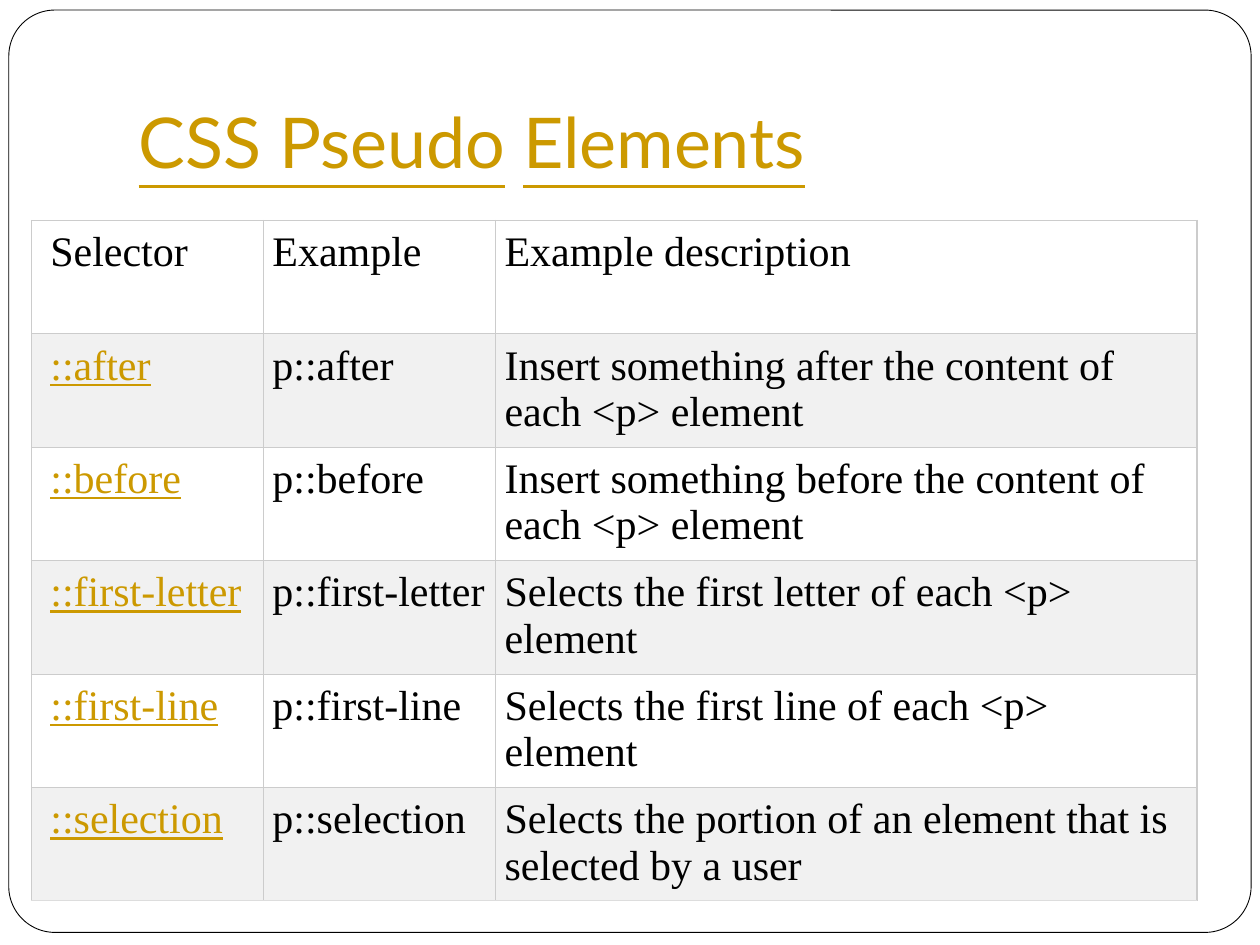
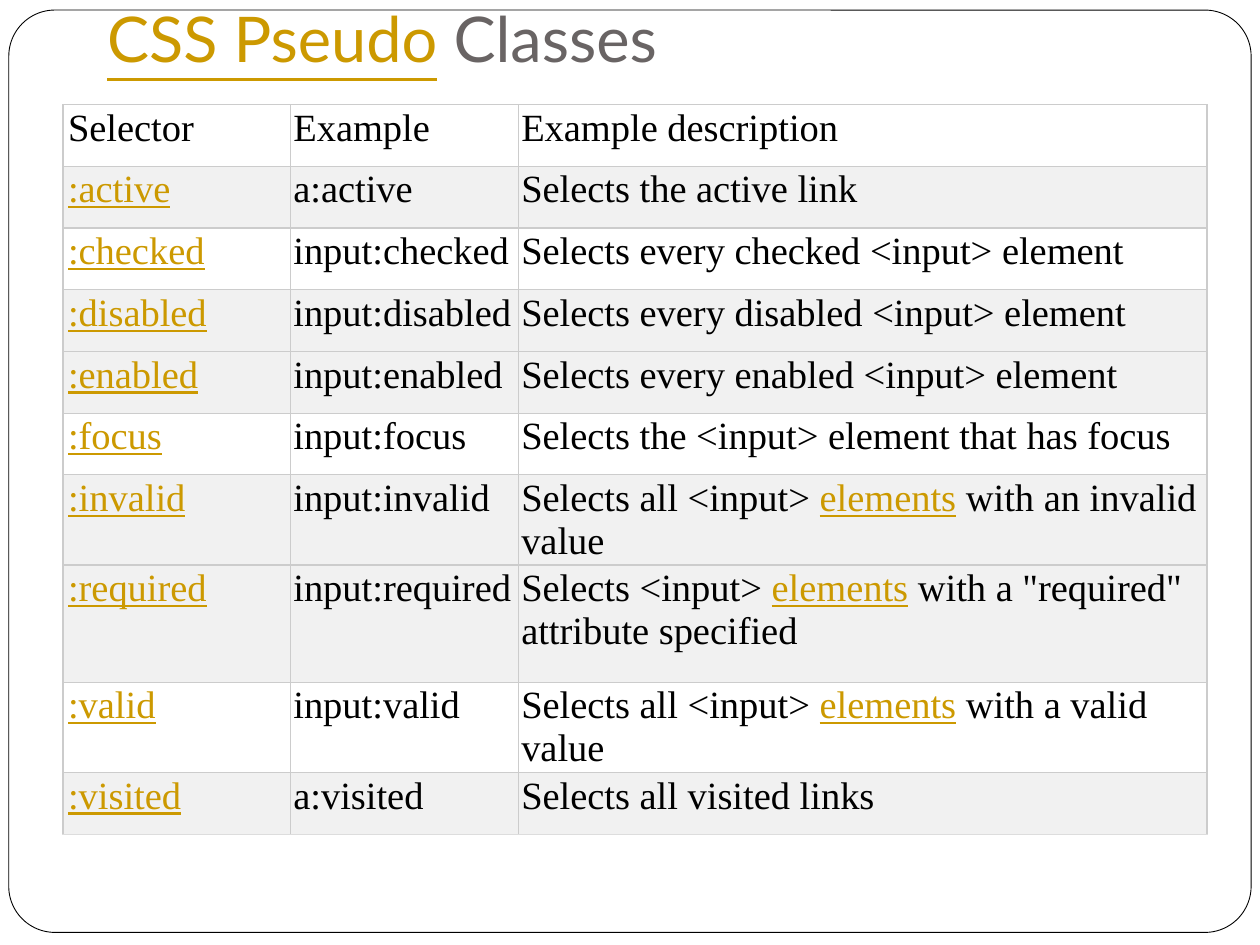
from lxml.etree import SubElement
from pptx import Presentation
from pptx.dml.color import RGBColor
from pptx.enum.shapes import MSO_SHAPE
from pptx.enum.text import MSO_ANCHOR, MSO_AUTO_SIZE, PP_ALIGN
from pptx.oxml.ns import qn
from pptx.util import Inches, Pt

WHITE = RGBColor(0xFF, 0xFF, 0xFF)
BLACK = RGBColor(0x00, 0x00, 0x00)
GOLD = RGBColor(0xCC, 0x99, 0x00)
GREY = RGBColor(0x69, 0x64, 0x64)
SHADE = RGBColor(0xF1, 0xF1, 0xF1)
RULE = RGBColor(0xCC, 0xCC, 0xCC)
LAST_RULE = RGBColor(0xDD, 0xDD, 0xDD)
TITLE_FONT, BODY_FONT = "Lato", "Times New Roman"
COL_WEIGHTS = (1, 1, 3.02)
HEADER = ("Selector", "Example", "Example description")

ELEMENTS = [
    HEADER,
    ("|::after|", "p::after", "Insert something after the content of each <p> element"),
    ("|::before|", "p::before", "Insert something before the content of each <p> element"),
    ("|::first-letter|", "p::first-letter", "Selects the first letter of each <p> element"),
    ("|::first-line|", "p::first-line", "Selects the first line of each <p> element"),
    ("|::selection|", "p::selection",
     "Selects the portion of an element that is selected by a user"),
]
CLASSES = [
    HEADER,
    ("|:active|", "a:active", "Selects the active link"),
    ("|:checked|", "input:checked", "Selects every checked <input> element"),
    ("|:disabled|", "input:disabled", "Selects every disabled <input> element"),
    ("|:enabled|", "input:enabled", "Selects every enabled <input> element"),
    ("|:focus|", "input:focus", "Selects the <input> element that has focus"),
    ("|:invalid|", "input:invalid",
     "Selects all <input> |elements| with an invalid value"),
    ("|:required|", "input:required",
     'Selects <input> |elements| with a "required" attribute specified'),
    ("|:valid|", "input:valid", "Selects all <input> |elements| with a valid value"),
    ("|:visited|", "a:visited", "Selects all visited links"),
]


def write(p, text, font, size, color):
    """Fill a paragraph, with the parts between bars in underlined gold."""
    for i, part in enumerate(text.split("|")):
        if part:
            r = p.add_run()
            r.text = part
            r.font.name, r.font.size = font, Pt(size)
            r.font.underline = i % 2 == 1
            r.font.color.rgb = GOLD if i % 2 else color


def add_frame(prs, s):
    """Put the rounded frame on the master, behind everything else."""
    frame = s.shapes.add_shape(MSO_SHAPE.ROUNDED_RECTANGLE, Inches(0.07), Inches(0.08),
                               Inches(9.86), Inches(7.32))
    frame.adjustments[0] = 0.05
    frame.shadow.inherit = False
    frame.fill.solid()
    frame.fill.fore_color.rgb = WHITE
    frame.line.color.rgb = BLACK
    frame.line.width = Pt(0.5)
    frame.element.nvSpPr.cNvPr.set("id", "99")
    prs.slide_master.shapes.element.insert(2, frame.element)


def set_title(s, box, text, size):
    """Place the title in its box and format it."""
    title = s.shapes.title
    title.left, title.top, title.width, title.height = map(Inches, box)
    tf = title.text_frame
    tf.auto_size, tf.word_wrap = MSO_AUTO_SIZE.NONE, True
    tf.vertical_anchor = MSO_ANCHOR.BOTTOM
    tf.margin_left = tf.margin_right = tf.margin_bottom = Inches(0.1)
    tf.margin_top = Inches(0.05)
    p = tf.paragraphs[0]
    p.alignment = PP_ALIGN.LEFT
    write(p, text, TITLE_FONT, size, GREY)


def set_borders(cell, bottom):
    """Rule all four sides of a cell."""
    tc_pr = cell._tc.get_or_add_tcPr()
    sides = (("lnL", RULE), ("lnR", RULE), ("lnT", RULE), ("lnB", bottom))
    for i, (side, color) in enumerate(sides):
        ln = SubElement(tc_pr, qn(f"a:{side}"), w=str(Pt(0.75)))
        fill = SubElement(ln, qn("a:solidFill"))
        SubElement(fill, qn("a:srgbClr"), val=str(color))
        tc_pr.insert(i, ln)


def add_selector_table(s, box, rows, heights, shaded, size, indent, margin):
    """Draw a three-column selector table in the given box."""
    left, top, width = box
    table = s.shapes.add_table(len(rows), len(HEADER), Inches(left), Inches(top),
                               Inches(width), Inches(sum(heights))).table
    table.first_row = table.horz_banding = False
    for col, weight in zip(table.columns, COL_WEIGHTS):
        col.width = Inches(width * weight / sum(COL_WEIGHTS))
    for i, (texts, height) in enumerate(zip(rows, heights)):
        table.rows[i].height = Inches(height)
        for j, text in enumerate(texts):
            cell = table.cell(i, j)
            cell.margin_left = Inches(margin if j else indent)
            cell.margin_right = cell.margin_top = cell.margin_bottom = Inches(margin)
            cell.fill.solid()
            cell.fill.fore_color.rgb = SHADE if i in shaded else WHITE
            set_borders(cell, LAST_RULE if i == len(rows) - 1 else RULE)
            write(cell.text_frame.paragraphs[0], text, BODY_FONT, size, BLACK)


def main():
    """Build and save the two slides."""
    prs = Presentation()
    prs.slide_width, prs.slide_height = Inches(10), Inches(7.5)
    title_only = prs.slide_layouts[5]

    s = prs.slides.add_slide(title_only)
    add_frame(prs, s)
    set_title(s, (1, 0.3, 8.5, 1.25), "|CSS Pseudo| |Elements|", 40)
    add_selector_table(s, (0.25, 1.75, 9.25), ELEMENTS, [0.9] * 6, {1, 3, 5},
                       24, 0.15, 0.07)

    s = prs.slides.add_slide(title_only)
    set_title(s, (0.75, 0.17, 8.5, 0.53), "|CSS Pseudo| Classes", 36)
    heights = [0.93 if row[0] == "|:required|" else 0.49 for row in CLASSES]
    add_selector_table(s, (0.5, 0.83, 9.08), CLASSES, heights, {1, 3, 4, 6, 7, 9},
                       22, 0.04, 0.02)
    prs.save("out.pptx")


if __name__ == "__main__":
    main()
